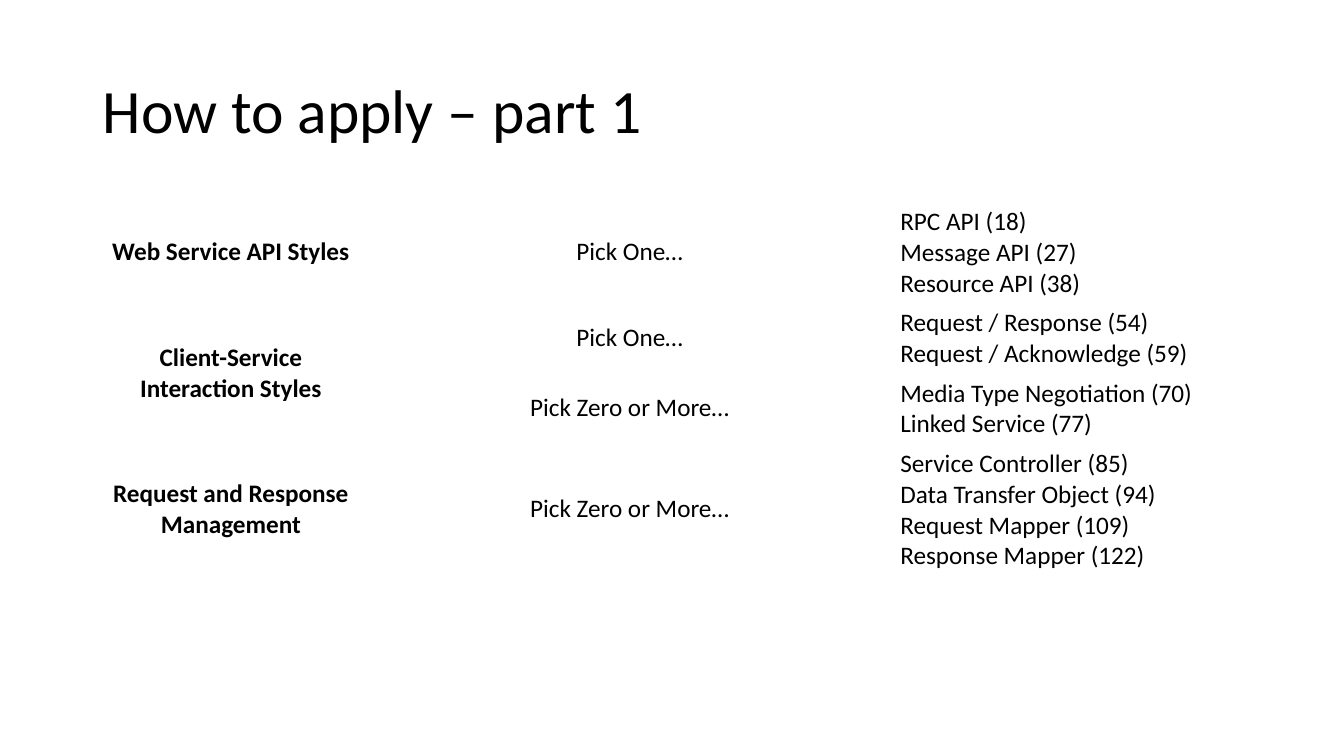
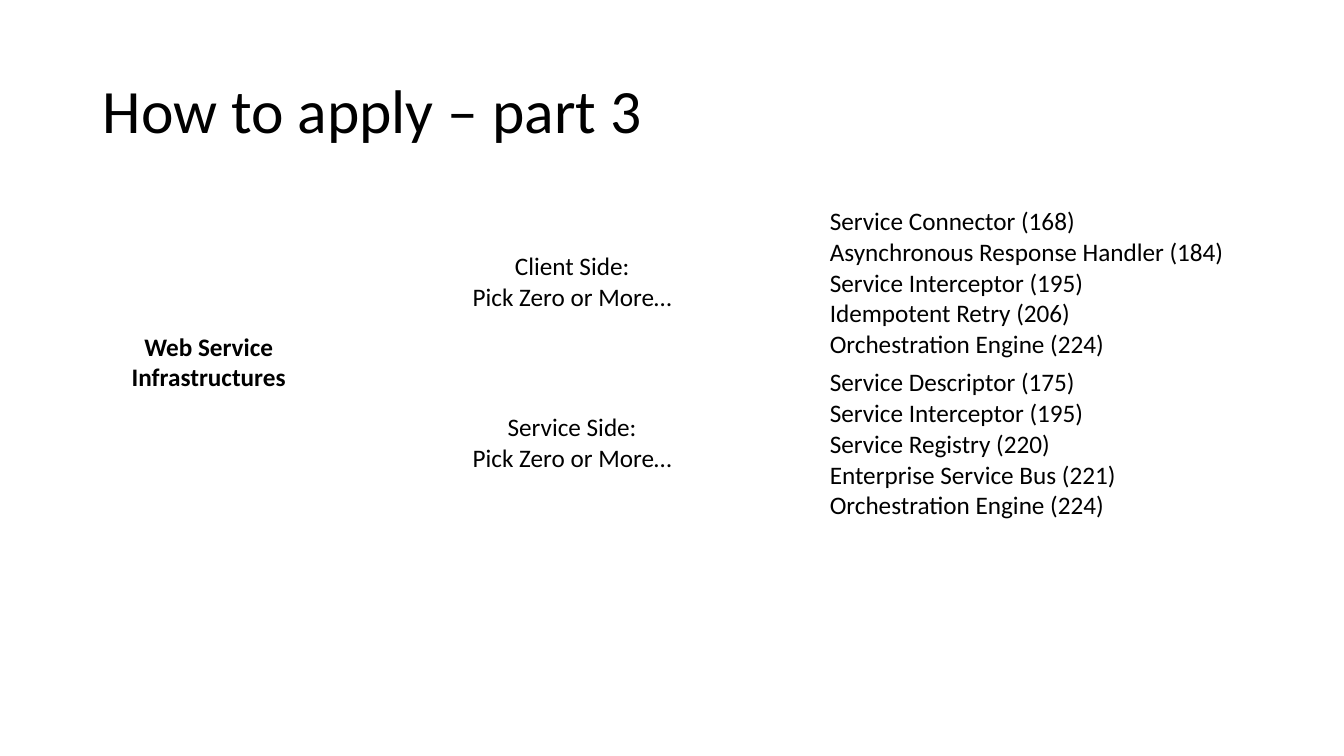
from pptx import Presentation
from pptx.dml.color import RGBColor
from pptx.enum.text import MSO_ANCHOR, PP_ALIGN
from pptx.util import Inches, Pt

CENTER, LEFT = PP_ALIGN.CENTER, PP_ALIGN.LEFT
MIDDLE, TOP = MSO_ANCHOR.MIDDLE, MSO_ANCHOR.TOP
COLORS = {"text": "000000"}
FONT = "Calibri"
MARGIN, WIDTH = 0.92, 11.5
TABLE_TOP, LINE_HEIGHT, CELL_PADDING = 2, 0.3, 0.1
BLANK_LAYOUT = 6

SLIDES = [
    ("How to apply – part 1", [2.74, 5.17, 3.59], [
        ("Web Service API Styles", [
            ("Pick One…", ["RPC API (18)", "Message API (27)", "Resource API (38)"]),
        ]),
        ("Client-Service Interaction Styles", [
            ("Pick One…", ["Request / Response (54)", "Request / Acknowledge (59)"]),
            ("Pick Zero or More…", ["Media Type Negotiation (70)", "Linked Service (77)"]),
        ]),
        ("Request and Response Management", [
            ("Pick Zero or More…", [
                "Service Controller (85)", "Data Transfer Object (94)",
                "Request Mapper (109)", "Response Mapper (122)"]),
        ]),
    ]),
    ("How to apply – part 3", [2.3, 4.91, 4.29], [
        ("Web Service Infrastructures", [
            ("Client Side:\nPick Zero or More…", [
                "Service Connector (168)", "Asynchronous Response Handler (184)",
                "Service Interceptor (195)", "Idempotent Retry (206)",
                "Orchestration Engine (224)"]),
            ("Service Side:\nPick Zero or More…", [
                "Service Descriptor (175)", "Service Interceptor (195)",
                "Service Registry (220)", "Enterprise Service Bus (221)",
                "Orchestration Engine (224)"]),
        ]),
    ]),
]


def write_text(tf, text, size, align=LEFT, bold=False):
    """Fill a text frame with one paragraph per line in the shared font."""
    tf.text = text
    for p in tf.paragraphs:
        p.alignment = align
        p.font.name = FONT
        p.font.size = Pt(size)
        p.font.bold = bold
        p.font.color.rgb = RGBColor.from_string(COLORS["text"])


def add_title(slide, text):
    """Add the slide title."""
    sp = slide.shapes.add_textbox(Inches(MARGIN), Inches(0.4), Inches(WIDTH), Inches(1.45))
    tf = sp.text_frame
    tf.word_wrap = True
    tf.vertical_anchor = MIDDLE
    write_text(tf, text, 44)
    tf.paragraphs[0].line_spacing = 0.9


def write_cell(cell, text, align=CENTER, anchor=MIDDLE, bold=False):
    """Write an unfilled table cell."""
    cell.fill.background()
    cell.vertical_anchor = anchor
    write_text(cell.text_frame, text, 18, align, bold)


def add_pattern_table(slide, widths, groups):
    """Add a table of categories, choices and patterns, merging each category."""
    choices = [choice for _, options in groups for choice in options]
    heights = [LINE_HEIGHT * len(patterns) + CELL_PADDING for _, patterns in choices]
    frame = slide.shapes.add_table(
        len(choices), len(widths), Inches(MARGIN), Inches(TABLE_TOP),
        Inches(WIDTH), Inches(sum(heights)))
    table = frame.table
    table.first_row = table.horz_banding = False
    for column, width in zip(table.columns, widths):
        column.width = Inches(width)
    for row, height in zip(table.rows, heights):
        row.height = Inches(height)
    for i, (choice, patterns) in enumerate(choices):
        table.cell(i, 0).fill.background()
        write_cell(table.cell(i, 1), choice)
        write_cell(table.cell(i, 2), "\n".join(patterns), LEFT, TOP)
    first = 0
    for category, options in groups:
        cell = table.cell(first, 0)
        if len(options) > 1:
            cell.merge(table.cell(first + len(options) - 1, 0))
        write_cell(cell, category, bold=True)
        first += len(options)


def main():
    """Build the slides and save the presentation."""
    prs = Presentation()
    prs.slide_width, prs.slide_height = Inches(13.33), Inches(7.5)
    for title, widths, groups in SLIDES:
        s = prs.slides.add_slide(prs.slide_layouts[BLANK_LAYOUT])
        add_title(s, title)
        add_pattern_table(s, widths, groups)
    prs.save("out.pptx")


main()
